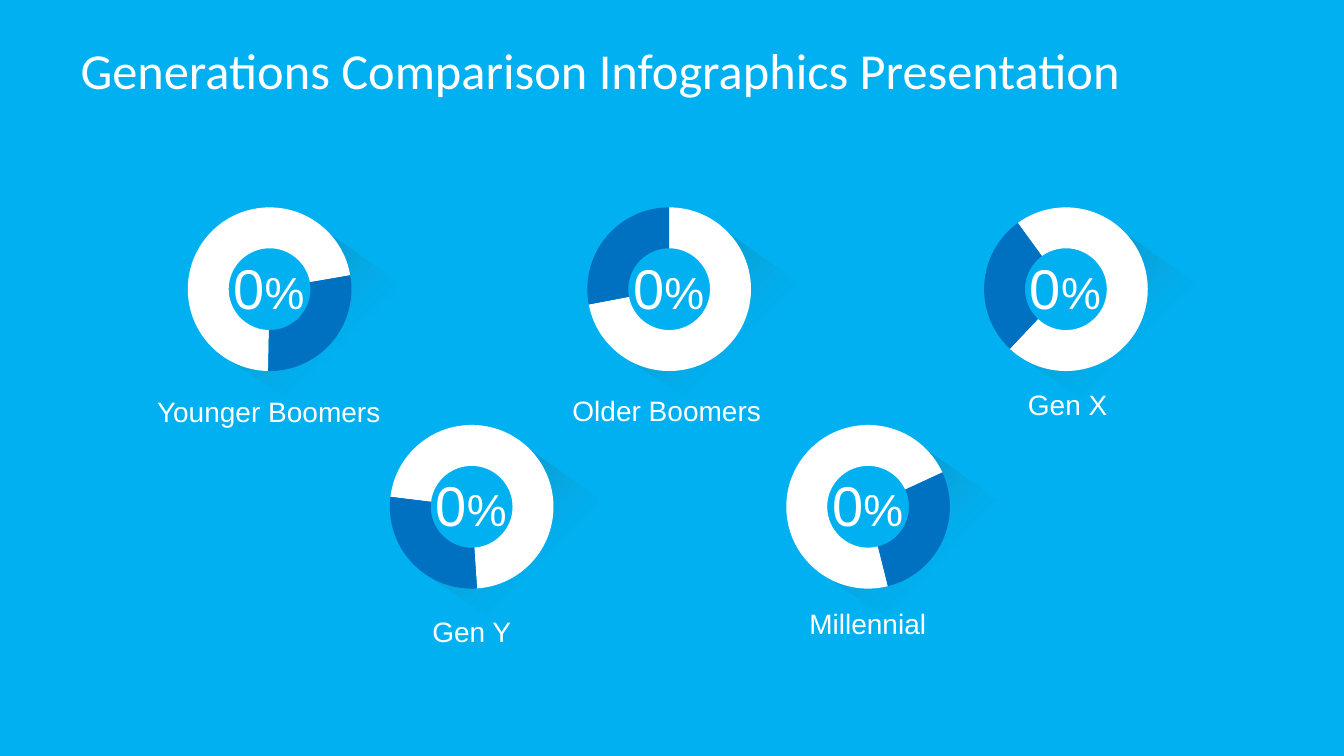
from lxml import etree
from pptx import Presentation
from pptx.chart.data import CategoryChartData
from pptx.dml.color import RGBColor
from pptx.enum.chart import XL_CHART_TYPE
from pptx.enum.text import MSO_ANCHOR, MSO_AUTO_SIZE, PP_ALIGN
from pptx.oxml.ns import qn
from pptx.util import Pt

DOUGHNUT = XL_CHART_TYPE.DOUGHNUT
FIT_SHAPE = MSO_AUTO_SIZE.SHAPE_TO_FIT_TEXT
NO_FIT = MSO_AUTO_SIZE.NONE
MIDDLE = MSO_ANCHOR.MIDDLE
LEFT = PP_ALIGN.LEFT

SKY = RGBColor(0x00, 0xB0, 0xF0)
BLUE = RGBColor(0x00, 0x70, 0xC0)
WHITE = RGBColor(0xFF, 0xFF, 0xFF)
BLACK = RGBColor(0x00, 0x00, 0x00)
GRAY = RGBColor(0x6B, 0x6B, 0x6B)

CHART_WIDTH, CHART_HEIGHT = 205.2, 136.8
TOP_ROW, BOTTOM_ROW = 138.2, 293.6
SHARES = (72, 28)
SHADOW_OFFSET = (71.3, 19.3)
SHADOW_OUTLINE = [(0, 98), (129, 185), (189, 91), (61, 0), (84, 35),
                  (81, 69), (66, 89), (41, 102)]
SHADOW_STOPS = [(0, BLACK, 30), (0.46, GRAY, 0)]

# name, chart left, chart top, first slice angle, label left, top, width
GENERATIONS = [
    ("Younger Boomers", 90, TOP_ROW, 181, 105.1, 278.6, 175.7),
    ("Older Boomers", 375.4, TOP_ROW, 0, 401.8, 277.2, 150.5),
    ("Gen X", 658.8, TOP_ROW, 324, 727.2, 273.6, 72),
    ("Gen Y", 234.3, BOTTOM_ROW, 277, 301.7, 435.6, 71.3),
    ("Millennial", 517.5, BOTTOM_ROW, 166, 571, 429.8, 98.6),
]


def add_title(slide, text):
    """Place and format the title placeholder."""
    title = slide.shapes.title
    title.left, title.top, title.width, title.height = Pt(48), Pt(21.6), Pt(864), Pt(56.2)
    frame = title.text_frame
    frame.text = text
    frame.auto_size = NO_FIT
    frame.vertical_anchor = MIDDLE
    frame.margin_left = frame.margin_right = Pt(9.6)
    frame.margin_top = frame.margin_bottom = Pt(4.8)
    paragraph = frame.paragraphs[0]
    paragraph.alignment = LEFT
    paragraph.font.name = "Calibri"
    paragraph.font.size = Pt(36)
    paragraph.font.color.rgb = WHITE


def add_text(slide, left, top, width, height, pieces):
    """Add one unwrapped line made of (text, size) pieces."""
    box = slide.shapes.add_textbox(Pt(left), Pt(top), Pt(width), Pt(height))
    frame = box.text_frame
    frame.word_wrap = False
    frame.auto_size = FIT_SHAPE
    paragraph = frame.paragraphs[0]
    paragraph.font.name = "Arial"
    paragraph.font.color.rgb = WHITE
    for text, size in pieces:
        run = paragraph.add_run()
        run.text = text
        run.font.size = Pt(size)


def add_long_shadow(slide, left, top):
    """Add the fading shadow cast by a ring."""
    start, *others = SHADOW_OUTLINE
    builder = slide.shapes.build_freeform(*start, scale=Pt(1))
    builder.add_line_segments(others, close=True)
    shape = builder.convert_to_shape(Pt(left), Pt(top))
    shape.shadow.inherit = False
    shape.line.fill.background()
    shape.fill.gradient()
    shape.fill.gradient_angle = 315
    for stop, (position, color, _) in zip(shape.fill.gradient_stops, SHADOW_STOPS):
        stop.position = position
        stop.color.rgb = color
    colors = shape._element.spPr.iter(qn("a:srgbClr"))
    for element, (_, _, opacity) in zip(colors, SHADOW_STOPS):
        etree.SubElement(element, qn("a:alpha"), val=str(opacity * 1000))


def add_ring(slide, left, top, angle):
    """Add a doughnut chart turned to the given first slice angle."""
    data = CategoryChartData()
    data.categories = ["1", "2"]
    data.add_series("Series 1", SHARES)
    chart = slide.shapes.add_chart(DOUGHNUT, Pt(left), Pt(top), Pt(CHART_WIDTH),
                                   Pt(CHART_HEIGHT), data).chart
    chart.has_title = False
    chart.has_legend = False
    chart.font.name = "Calibri"
    chart.font.size = Pt(18)
    chart.font.color.rgb = BLACK
    plot = chart.plots[0]
    for index, color in enumerate((WHITE, BLUE)):
        point = plot.series[0].points[index]
        point.format.fill.solid()
        point.format.fill.fore_color.rgb = color
        point.format.line.fill.background()
    for tag, value in (("c:firstSliceAng", angle), ("c:holeSize", 85)):
        plot._element.find(qn(tag)).set("val", str(value))


def add_generation(slide, name, left, top, angle, label_left, label_top, label_width):
    """Add a ring with its shadow, percentage and label."""
    add_long_shadow(slide, left + SHADOW_OFFSET[0], top + SHADOW_OFFSET[1])
    add_ring(slide, left, top, angle)
    add_text(slide, left + 69.8, top + 39.3, 65.5, 55.4, [("0", 40), ("%", 32)])
    add_text(slide, label_left, label_top, label_width, 31.7, [(name, 20)])


def main():
    """Build the slide and save it."""
    presentation = Presentation()
    presentation.slide_width, presentation.slide_height = Pt(960), Pt(540)
    slide = presentation.slides.add_slide(presentation.slide_layouts[5])
    slide.background.fill.solid()
    slide.background.fill.fore_color.rgb = SKY
    add_title(slide, "Generations Comparison Infographics Presentation")
    for generation in GENERATIONS:
        add_generation(slide, *generation)
    presentation.save("out.pptx")


main()
